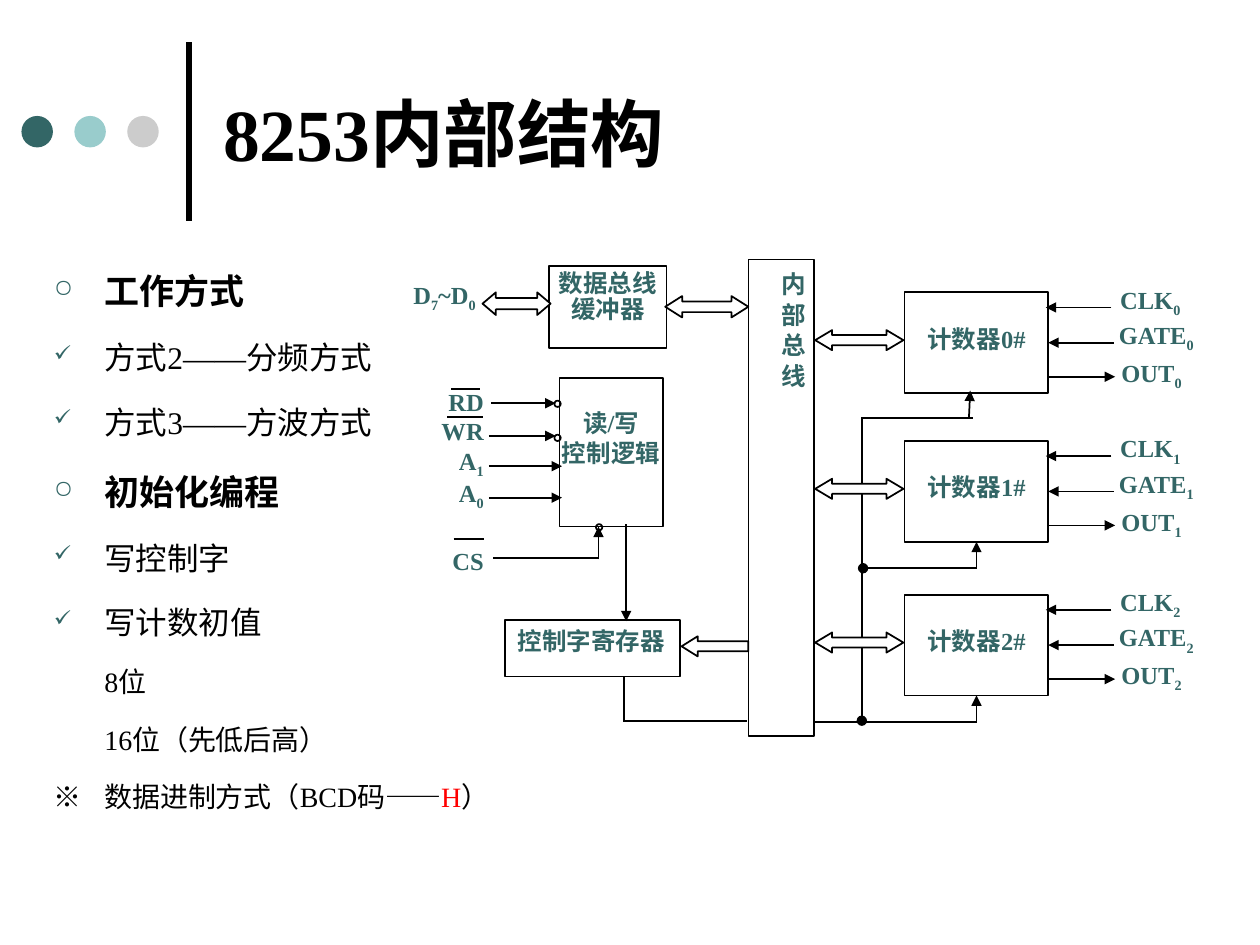
from lxml import etree
from pptx import Presentation
from pptx import util as u
from pptx.dml.color import RGBColor
from pptx.enum import shapes, text
from pptx.oxml import ns

COLORS = {"ink": "000000", "teal": "336666", "aqua": "99CCCC",
          "grey": "CCCCCC", "paper": "FFFFFF", "red": "FF0000"}
SERIF = "Times New Roman"
COLS, ROWS = 100, 75
SHAPE = shapes.MSO_SHAPE
ALIGN = text.PP_ALIGN


class Board:
    """Draws styled elements on one slide, measured in grid columns and rows."""

    def __init__(self, prs):
        self.col, self.row = prs.slide_width / COLS, prs.slide_height / ROWS
        self.s = prs.slides.add_slide(prs.slide_layouts[5])

    def rect(self, x, y, w, h):
        return (round(x * self.col), round(y * self.row),
                round(w * self.col), round(h * self.row))

    def run(self, p, words, size=14, color="teal", bold=True, sub=False, font=SERIF):
        r = p.add_run()
        r.text = words
        r.font.name, r.font.size, r.font.bold = font, u.Pt(size), bold
        r.font.color.rgb = RGBColor.from_string(COLORS[color])
        if sub:
            r._r.get_or_add_rPr().set("baseline", "-25000")

    def frame(self, sp, insets, anchor=text.MSO_ANCHOR.TOP):
        tf = sp.text_frame
        tf.word_wrap, tf.auto_size, tf.vertical_anchor = True, text.MSO_AUTO_SIZE.NONE, anchor
        tf.margin_left, tf.margin_top, tf.margin_right, tf.margin_bottom = (
            round(v * self.col) for v in insets)
        return tf

    def lines(self, tf, paragraphs, align, spacing=None):
        """Fill a frame; every second part of a paragraph is a subscript."""
        for i, parts in enumerate(paragraphs):
            p = tf.paragraphs[0] if i == 0 else tf.add_paragraph()
            p.alignment = align
            if spacing:
                p.line_spacing = spacing
            for j, part in enumerate(parts):
                self.run(p, part, sub=j % 2 == 1)
        return tf

    def title(self, at, runs):
        sp = self.s.shapes.title
        sp.left, sp.top, sp.width, sp.height = self.rect(*at)
        p = self.frame(sp, (1, 0.5, 1, 0.5), text.MSO_ANCHOR.MIDDLE).paragraphs[0]
        p.alignment = ALIGN.LEFT
        for words, font in runs:
            self.run(p, words, 42, "ink", font=font)

    def textbox(self, at, insets=(0, 0, 0, 0)):
        return self.frame(self.s.shapes.add_textbox(*self.rect(*at)), insets)

    def label(self, at, *parts):
        self.lines(self.textbox(at), [parts], ALIGN.LEFT)

    def shape(self, kind, at, fill=None, line="ink", adj=()):
        sp = self.s.shapes.add_shape(kind, *self.rect(*at))
        sp.shadow.inherit = False
        if fill:
            sp.fill.solid()
            sp.fill.fore_color.rgb = RGBColor.from_string(COLORS[fill])
        else:
            sp.fill.background()
        if line:
            sp.line.width = u.Pt(1)
            sp.line.color.rgb = RGBColor.from_string(COLORS[line])
        else:
            sp.line.fill.background()
        for i, value in enumerate(adj):
            sp.adjustments[i] = value
        return sp

    def box(self, at, paragraphs, insets, align=ALIGN.CENTER, spacing=None):
        sp = self.shape(SHAPE.RECTANGLE, at)
        self.lines(self.frame(sp, insets), paragraphs, align, spacing)
        return sp

    def block_arrow(self, at, head, kind=SHAPE.LEFT_RIGHT_ARROW):
        self.shape(kind, at, "paper", adj=(0.5, head))

    def line(self, x1, y1, x2, y2, width=1, head=None, tail=None, join=None):
        begin, end = self.rect(x1, y1, x2, y2)[:2], self.rect(x2, y2, 0, 0)[:2]
        c = self.s.shapes.add_connector(shapes.MSO_CONNECTOR.STRAIGHT, *begin, *end)
        c.line.width = u.Pt(width)
        c.line.color.rgb = RGBColor.from_string(COLORS["ink"])
        for tag, kind in (("a:headEnd", head), ("a:tailEnd", tail)):
            if kind:
                etree.SubElement(c.line._get_or_add_ln(), ns.qn(tag)).set("type", kind)
        etree.SubElement(c._element.spPr, ns.qn("a:effectLst"))
        if join:
            c.end_connect(*join)

    def arrow(self, x1, y1, x2, y2, **kw):
        self.line(x1, y1, x2, y2, tail="triangle", **kw)

    def item(self, tf, p, runs, size, bold, bullet, hang, before):
        pPr = p._p.get_or_add_pPr()
        pPr.set("marL", str(round(4 * self.col)))
        pPr.set("indent", str(round(-4 * self.col if hang else 0)))
        if bullet:
            clr = etree.SubElement(pPr, ns.qn("a:buClr"))
            etree.SubElement(clr, ns.qn("a:srgbClr")).set("val", COLORS["teal"])
            etree.SubElement(pPr, ns.qn("a:buSzPct")).set("val", "70000")
            etree.SubElement(pPr, ns.qn("a:buChar")).set("char", bullet)
        p.line_spacing = 1.5
        if before:
            p.space_before = u.Pt(before)
        for words, color in runs:
            self.run(p, words, size, color, bold)

    def outline(self, at, items):
        styles = {"head": (20, True, "○", True, 5), "check": (18, False, "✓", True, 4.5),
                  "plain": (16, False, None, False, 4), "note": (16, False, None, True, 4)}
        tf = self.textbox(at, (1, 0.5, 1, 0.5))
        for i, (style, *runs) in enumerate(items):
            p = tf.add_paragraph() if i else tf.paragraphs[0]
            size, bold, bullet, hang, before = styles[style]
            self.item(tf, p, runs, size, bold, bullet, hang, before if i else 0)

    def counter(self, n, y):
        """One counter with its bus arrow and its three signals."""
        sp = self.box((71.8, y, 11.4, 8), [[f"计数器{n}#"]], (1, 2.5, 1, 0.5))
        self.arrow(88.2, y + 1.2, 83, y + 1.2)
        self.arrow(88.4, y + 4, 83.2, y + 4, join=(sp, 3))
        self.arrow(83.2, y + 6.7, 88.5, y + 6.7)
        for name, x, dy in (("CLK", 88.9, -0.6), ("GATE", 88.8, 2.2), ("OUT", 89, 5.2)):
            self.label((x, y + dy, 6.7, 2.8), name, str(n))
        self.block_arrow((64.7, y + 3, 7, 1.6), 0.84)
        return sp


def main():
    prs = Presentation()
    prs.slide_width, prs.slide_height = u.Inches(10), u.Inches(7.5)
    b = Board(prs)

    b.line(15, 17.5, 15, 3.3, width=3)
    for i, color in enumerate(("teal", "aqua", "grey")):
        b.shape(SHAPE.OVAL, (1.7 + 4.2 * i, 9.2, 2.5, 2.5), color, None)
    b.title((16.7, 2.1, 83.3, 16.7), [("8253", SERIF), ("内部结构", "Arial")])

    b.line(68.4, 57.2, 68.4, 33.1, head="oval")
    b.line(64.7, 57.3, 77.5, 57.3)
    bus = b.box((59.4, 20.6, 5.2, 37.8), [["内 部 总 线"]], (0.5, 1, 0.5, 1))
    bus.text_frame._txBody.bodyPr.set("vert", "eaVert")
    counters = [b.counter(n, y) for n, y in enumerate((23.2, 35, 47.2))]
    b.line(68.4, 33.2, 77.2, 33.2)
    b.arrow(76.9, 33.2, 77, 31)
    b.line(68.5, 45.1, 77.5, 45.1, head="oval")
    for counter, y in zip(counters[1:], (45.1, 57.3)):
        b.arrow(77.5, y, 77.5, y - 2, join=(counter, 2))

    b.box((43.6, 21.1, 9.3, 6.5), [["数据总线"], ["缓冲器"]], (0.2, 0.5, 0.2, 0.1), spacing=0.88)
    b.block_arrow((38.3, 23.2, 5.4, 1.8), 0.59)
    b.block_arrow((52.8, 23.5, 6.6, 1.7), 0.79)
    b.label((32.8, 22.2, 5.5, 3), "D", "7", "~D", "0")

    for x, y in ((44, 31.8), (44, 34.5), (47.3, 41.6)):
        b.shape(SHAPE.OVAL, (x, y, 0.5, 0.5))
    signals = b.textbox((30.8, 30.8, 7.8, 15.6), (0.2, 0.1, 0.2, 0.1))
    b.lines(signals, [["RD"], ["WR"], ["A", "1"], ["A", "0"], ["CS"]], ALIGN.RIGHT, 0.96)
    signals.paragraphs[-1].space_before = u.Pt(21.5)
    for x1, x2, y in ((35.8, 38.1, 30.9), (35.5, 38.3, 33.1), (36, 38.4, 42.8)):
        b.line(x1, y, x2, y)
    b.box((44.4, 30, 8.2, 11.8), [["读/写"], ["控制逻辑"]], (0, 2.4, 0, 0.1))
    for x1, x2, y in ((39, 44.1, 32), (38.8, 44.1, 34.6), (38.8, 44.6, 37), (38.8, 44.6, 39.5)):
        b.arrow(x1, y, x2, y)
    b.line(47.5, 44.3, 39.1, 44.3)
    b.arrow(47.5, 44.4, 47.5, 41.8)

    b.box((40.1, 49.2, 13.9, 4.5), [["控制字寄存器"]], (1, 0.5, 1, 0.5), ALIGN.LEFT)
    b.block_arrow((54.1, 50.5, 5.3, 1.6), 0.8, SHAPE.LEFT_ARROW)
    b.arrow(49.7, 41.6, 49.7, 49.3)
    b.line(49.5, 53.7, 49.5, 57.3)
    b.line(49.6, 57.2, 59.3, 57.2)

    b.outline((3.3, 19.2, 36.7, 49.2), [
        ("head", ("工作方式", "ink")),
        ("check", ("方式2——分频方式", "ink")),
        ("check", ("方式3——方波方式", "ink")),
        ("head", ("初始化编程", "ink")),
        ("check", ("写控制字", "ink")),
        ("check", ("写计数初值", "ink")),
        ("plain", ("8位", "ink")),
        ("plain", ("16位（先低后高）", "ink")),
        ("note", ("※\t数据进制方式（BCD码——", "ink"), ("H", "red"), ("）", "ink")),
    ])
    prs.save("out.pptx")


if __name__ == "__main__":
    main()
